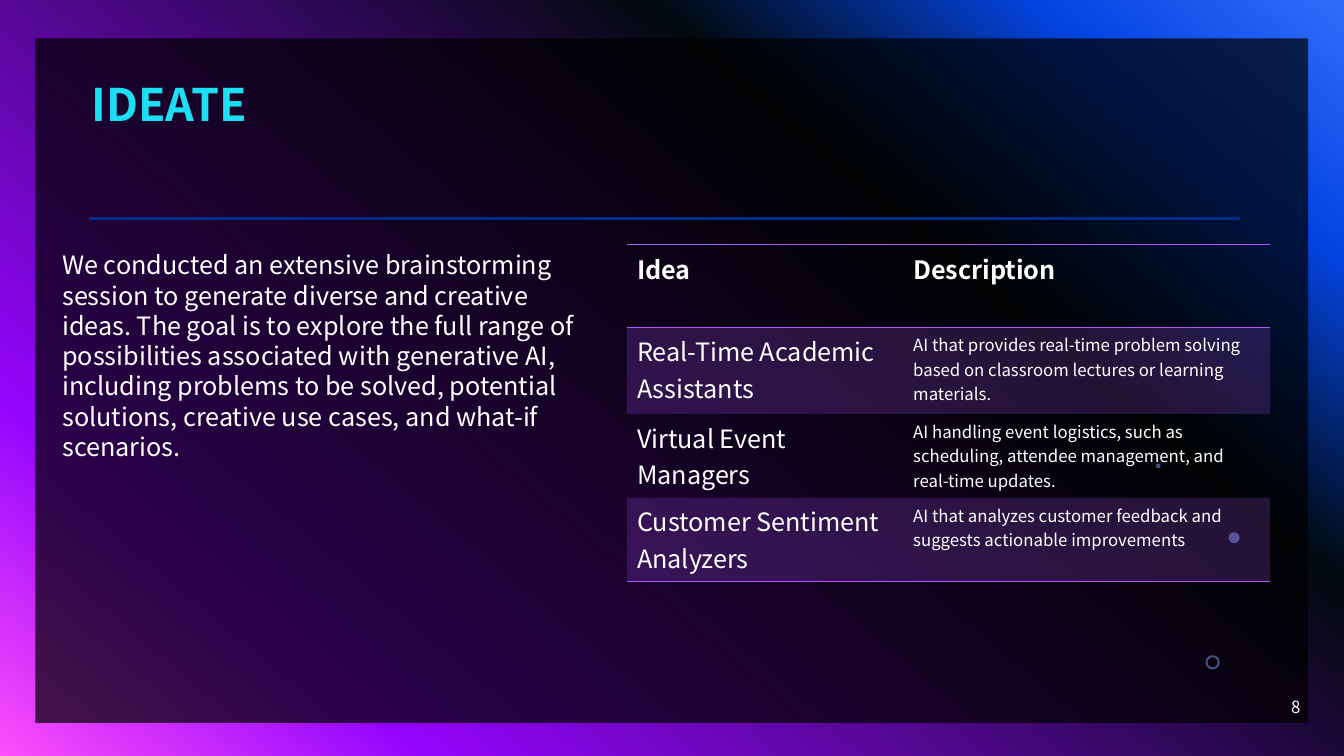
import pptx
import pptx.util
import pptx.dml.color
import pptx.enum.shapes
import pptx.enum.text
import pptx.oxml
import pptx.oxml.ns
from dataclasses import dataclass

Cm = pptx.util.Cm
Pt = pptx.util.Pt
Shape = pptx.enum.shapes.MSO_SHAPE
Align = pptx.enum.text.PP_ALIGN
Anchor = pptx.enum.text.MSO_ANCHOR
NS = pptx.oxml.ns.nsdecls("a")


@dataclass(frozen=True)
class Theme:
    font: str = "Noto Sans CJK SC"
    white: str = "FFFFFF"
    black: str = "000000"
    cyan: str = "1CDFF5"
    rule: str = "022B8C"
    violet: str = "B059FD"
    dot: str = "83A7FD"
    title: int = 32
    body: int = 18
    small: int = 12
    angle: int = 130
    back: tuple = ((0, "316CFC"), (14, "0343DF"), (31, "02090E"),
                   (81, "9405FC"), (100, "FC4EFB"))
    plain_grid: str = "{2D5ABB26-0587-4C30-8999-92F81FD0307C}"


def rgb(code):
    return pptx.dml.color.RGBColor.from_string(code)


def fade(node, alpha):
    """Give every colour under node an opacity in percent."""
    for color in node.xpath(".//a:solidFill/a:srgbClr"):
        color.append(pptx.oxml.parse_xml(f'<a:alpha {NS} val="{alpha * 1000}"/>'))


class Page:
    def __init__(self, deck, theme):
        self.theme = theme
        self.slide = deck.slides.add_slide(deck.slide_layouts[6])

    def backdrop(self):
        self.slide.background.fill.gradient()
        old = self.slide.element.xpath(".//p:bgPr/a:gradFill")[0]
        stops = "".join(
            f'<a:gs pos="{pos * 1000}"><a:srgbClr val="{code}"/></a:gs>'
            for pos, code in self.theme.back)
        new = pptx.oxml.parse_xml(
            f'<a:gradFill {NS} rotWithShape="1"><a:gsLst>{stops}</a:gsLst>'
            f'<a:lin ang="{self.theme.angle * 60000}" scaled="0"/></a:gradFill>')
        old.getparent().replace(old, new)

    def shape(self, kind, left, top, width, height, color, alpha):
        item = self.slide.shapes.add_shape(
            kind, Cm(left), Cm(top), Cm(width), Cm(height))
        item.shadow.inherit = False
        item.fill.solid()
        item.fill.fore_color.rgb = rgb(color)
        item.line.fill.background()
        fade(item.element.spPr, alpha)
        return item

    def rule(self, left, right, top, color, width):
        line = self.slide.shapes.add_connector(
            pptx.enum.shapes.MSO_CONNECTOR.STRAIGHT,
            Cm(left), Cm(top), Cm(right), Cm(top))
        line.line.color.rgb = rgb(color)
        line.line.width = Pt(width)
        line.element.spPr.append(pptx.oxml.parse_xml(f"<a:effectLst {NS}/>"))

    def style(self, frame, size, color, bold=False):
        for para in frame.paragraphs:
            for run in para.runs:
                run.font.name = self.theme.font
                run.font.size = Pt(size)
                run.font.bold = bold
                run.font.color.rgb = rgb(color)

    def text(self, words, left, top, width, height, size, color,
             bold=False, align=Align.LEFT, anchor=Anchor.TOP, space=1.0):
        box = self.slide.shapes.add_textbox(
            Cm(left), Cm(top), Cm(width), Cm(height))
        frame = box.text_frame
        frame.word_wrap = True
        frame.vertical_anchor = anchor
        frame.text = words
        frame.paragraphs[0].alignment = align
        frame.paragraphs[0].line_spacing = space
        self.style(frame, size, color, bold)

    def edge(self, cell, sides):
        """Draw borders on a cell; sides are in the order T, B."""
        for spot, side in enumerate(sides):
            cell._tc.get_or_add_tcPr().insert(spot, pptx.oxml.parse_xml(
                f'<a:ln{side} {NS} w="12700"><a:solidFill>'
                f'<a:srgbClr val="{self.theme.violet}"/></a:solidFill></a:ln{side}>'))

    def table(self, rows, left, top, widths, heights):
        theme = self.theme
        frame = self.slide.shapes.add_table(
            len(rows), len(widths), Cm(left), Cm(top),
            Cm(sum(widths)), Cm(sum(heights)))
        frame.element.xpath(".//a:tableStyleId")[0].text = theme.plain_grid
        grid = frame.table
        for col, width in zip(grid.columns, widths):
            col.width = Cm(width)
        for r, (row, height) in enumerate(zip(rows, heights)):
            grid.rows[r].height = Cm(height)
            head = r == 0
            for c, words in enumerate(row):
                cell = grid.cell(r, c)
                cell.text_frame.text = words
                size = theme.small if c and not head else theme.body
                self.style(cell.text_frame, size, theme.white, head)
                if r % 2:
                    cell.fill.solid()
                    cell.fill.fore_color.rgb = rgb(theme.violet)
                elif r == len(rows) - 1:
                    cell.fill.background()
                else:
                    cell.fill.background()
                if r in (1, len(rows) - 1):
                    cell.fill.solid()
                    cell.fill.fore_color.rgb = rgb(theme.violet)
                    fade(cell._tc.get_or_add_tcPr(), 20)
                if head:
                    self.edge(cell, "TB")
                elif r == len(rows) - 1:
                    self.edge(cell, "B")


IDEAS = (
    ("Idea", "Description"),
    ("Real-Time Academic Assistants",
     "AI that provides real-time problem solving based on classroom "
     "lectures or learning materials."),
    ("Virtual Event Managers",
     "AI handling event logistics, such as scheduling, attendee "
     "management, and real-time updates."),
    ("Customer Sentiment Analyzers",
     "AI that analyzes customer feedback and suggests actionable improvements"),
)
INTRO = (
    "We conducted an extensive brainstorming session to generate diverse and "
    "creative ideas. The goal is to explore the full range of possibilities "
    "associated with generative AI, including problems to be solved, potential "
    "solutions, creative use cases, and what-if scenarios.")


def main():
    deck = pptx.Presentation()
    deck.slide_width, deck.slide_height = Cm(33.87), Cm(19.05)
    theme = Theme()
    page = Page(deck, theme)
    page.backdrop()
    page.shape(Shape.RECTANGLE, 0.89, 0.97, 32.08, 17.25, theme.black, 70)
    page.rule(2.24, 31.24, 5.5, theme.rule, 2)
    ring = page.shape(Shape.DONUT, 30.38, 16.51, 0.36, 0.36, theme.dot, 49)
    ring.adjustments[0] = 0.14
    for left, top, size in ((30.96, 13.41, 0.28), (29.13, 11.68, 0.12)):
        page.shape(Shape.OVAL, left, top, size, size, theme.dot, 49)
    page.text("IDEATE", 2.06, 1.96, 11.63, 1.73, theme.title, theme.cyan,
              bold=True, space=0.9)
    page.text(INTRO, 1.32, 6.17, 13.69, 6.71, theme.body, theme.white)
    page.text("8", 25.4, 17.3, 7.62, 1.02, theme.small, theme.white,
              align=Align.RIGHT, anchor=Anchor.MIDDLE)
    page.table(IDEAS, 15.8, 6.17, (6.96, 9.25), (2.08, 2.18, 2.11, 2.11))
    deck.save("out.pptx")


if __name__ == "__main__":
    main()
